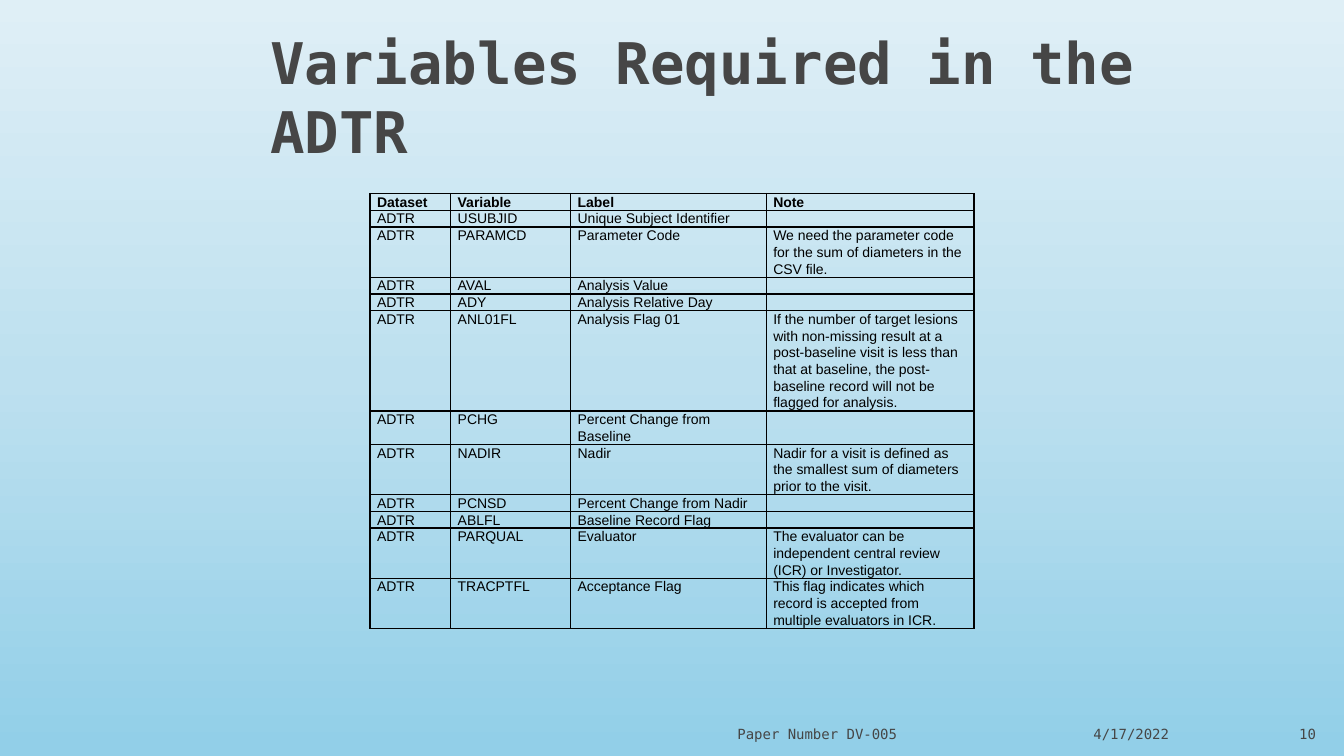
from copy import deepcopy

from lxml.etree import SubElement
from pptx import Presentation
from pptx.dml.color import RGBColor
from pptx.enum.text import MSO_ANCHOR, PP_ALIGN
from pptx.oxml.ns import qn
from pptx.util import Inches, Pt

GREY = RGBColor(0x46, 0x46, 0x46)
BLACK = RGBColor(0x00, 0x00, 0x00)
SKY = [(0, RGBColor(0xDF, 0xEF, 0xF6)),
       (0.5, RGBColor(0xBD, 0xE0, 0xEF)),
       (0.99, RGBColor(0x92, 0xCF, 0xE8))]
MONO, SANS = "DejaVu Sans Mono", "Arial"

COLUMN_WIDTHS = [0.8, 1.19, 1.94, 2.06]
HEADER = ("Dataset", "Variable", "Label", "Note")
# Variable, label, note
VARIABLES = [
    ("USUBJID", "Unique Subject Identifier", ""),
    ("PARAMCD", "Parameter Code",
     "We need the parameter code for the sum of diameters in the CSV file."),
    ("AVAL", "Analysis Value", ""),
    ("ADY", "Analysis Relative Day", ""),
    ("ANL01FL", "Analysis Flag 01",
     "If the number of target lesions with non-missing result at a "
     "post-baseline visit is less than that at baseline, the post-baseline "
     "record will not be flagged for analysis."),
    ("PCHG", "Percent Change from Baseline", ""),
    ("NADIR", "Nadir",
     "Nadir for a visit is defined as the smallest sum of diameters prior to "
     "the visit."),
    ("PCNSD", "Percent Change from Nadir", ""),
    ("ABLFL", "Baseline Record Flag", ""),
    ("PARQUAL", "Evaluator",
     "The evaluator can be independent central review (ICR) or Investigator."),
    ("TRACPTFL", "Acceptance Flag",
     "This flag indicates which record is accepted from multiple evaluators "
     "in ICR."),
]


def style(p, name, size, color, bold=False):
    p.font.name, p.font.size, p.font.bold = name, Pt(size), bold
    p.font.color.rgb = color


def paint_background(slide):
    fill = slide.background.fill
    fill.gradient()
    fill.gradient_angle = 270
    stops = next(slide.element.iter(qn("a:gsLst")))
    stops.insert(1, deepcopy(stops[0]))
    for stop, (position, color) in zip(fill.gradient_stops, SKY):
        stop.position = position
        stop.color.rgb = color


def add_title(slide, text, x, y, w, h):
    title = slide.shapes.title
    title.left, title.top, title.width, title.height = map(Inches, (x, y, w, h))
    tf = title.text_frame
    tf.text = text
    tf.word_wrap = True
    tf.vertical_anchor = MSO_ANCHOR.MIDDLE
    p = tf.paragraphs[0]
    p.alignment = PP_ALIGN.LEFT
    style(p, MONO, 41, GREY, bold=True)


def add_footer(slide, x, y, h):
    """Place the footer fields side by side, starting at x."""
    fields = [("Paper Number DV-005", 3.43, PP_ALIGN.CENTER),
              ("4/17/2022", 2.8, PP_ALIGN.CENTER),
              ("10", 0.53, PP_ALIGN.RIGHT)]
    for text, w, alignment in fields:
        tf = slide.shapes.add_textbox(*map(Inches, (x, y, w, h))).text_frame
        tf.word_wrap = True
        tf.vertical_anchor = MSO_ANCHOR.BOTTOM
        p = tf.paragraphs[0]
        p.text, p.alignment = text, alignment
        style(p, MONO, 10, GREY)
        x += w


def add_borders(cell):
    properties = cell._tc.get_or_add_tcPr()
    for index, side in enumerate(("a:lnL", "a:lnR", "a:lnT", "a:lnB")):
        line = SubElement(properties, qn(side), w=str(Pt(1)))
        fill = SubElement(line, qn("a:solidFill"))
        SubElement(fill, qn("a:srgbClr"), val=str(BLACK))
        properties.insert(index, line)


def fill_cell(cell, text, bold):
    cell.margin_left = cell.margin_right = Inches(0.07)
    cell.margin_top = cell.margin_bottom = 0
    cell.fill.background()
    add_borders(cell)
    p = cell.text_frame.paragraphs[0]
    p.text = text
    p.line_spacing, p.space_before, p.space_after = 1.07, Pt(1), Pt(2)
    style(p, SANS, 10, BLACK, bold)
    if not text:  # keeps an empty cell one small line high
        SubElement(p._p, qn("a:endParaRPr"), sz="1000")


def add_variable_table(slide, x, y, w, h):
    rows = [HEADER] + [("ADTR", *variable) for variable in VARIABLES]
    frame = slide.shapes.add_table(len(rows), len(HEADER),
                                   *map(Inches, (x, y, w, h)))
    table = frame.table
    table.first_row = table.horz_banding = False
    for column, width in zip(table.columns, COLUMN_WIDTHS):
        column.width = Inches(width)
    for r, values in enumerate(rows):
        table.rows[r].height = Inches(0.16)  # grows with the text
        for c, text in enumerate(values):
            fill_cell(table.cell(r, c), text, bold=r == 0)


def main():
    prs = Presentation()
    prs.slide_width, prs.slide_height = Inches(13.33), Inches(7.5)
    slide = prs.slides.add_slide(prs.slide_layouts[5])
    paint_background(slide)
    add_title(slide, "Variables Required in the ADTR", 2.58, 0.33, 10.11, 1.25)
    add_variable_table(slide, 3.67, 1.92, 5.98, 4.48)
    add_footer(slide, 6.39, 7.01, 0.4)
    prs.save("out.pptx")


if __name__ == "__main__":
    main()
